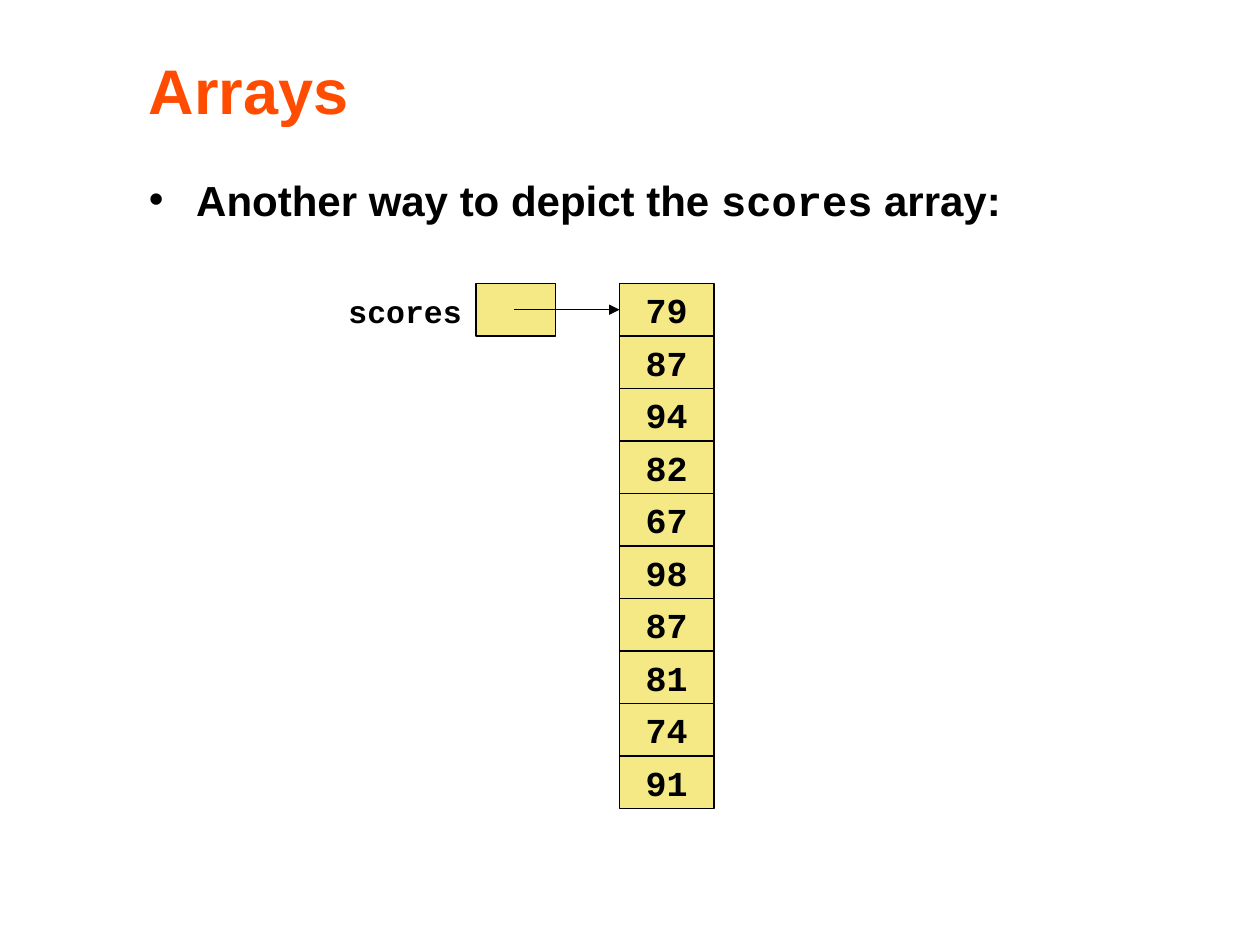
from lxml.etree import SubElement
from pptx import Presentation
from pptx.dml.color import RGBColor
from pptx.enum.shapes import MSO_CONNECTOR, MSO_SHAPE
from pptx.enum.text import MSO_ANCHOR, PP_ALIGN
from pptx.oxml.ns import qn
from pptx.util import Pt

SANS, MONO = "Arial", "Courier New"
BLACK, ORANGE, YELLOW = "000000", "FF4C00", "F5E985"

TITLE = "Arrays"
BULLET = [("Another way to depict the ", SANS), ("scores", MONO), (" array:", SANS)]
ARRAY_NAME = "scores"
SCORES = [79, 87, 94, 82, 67, 98, 87, 81, 74, 91]

TEXT_LEFT, TEXT_W, TEXT_H = 78, 624, 54
ARRAY_LEFT, ARRAY_TOP = 354, 162
CELL_W, CELL_H = 54, 30
REF_LEFT, REF_W = 272, 45.5
ARROW_LEFT = 294


def rgb(color):
    return RGBColor.from_string(color)


def add_runs(p, runs, size, color=BLACK):
    for text, font in runs:
        r = p.add_run()
        r.text = text
        r.font.name = font
        r.font.size = Pt(size)
        r.font.bold = True
        r.font.color.rgb = rgb(color)


def add_text(slide, x, y, w, h, wrap=True):
    tf = slide.shapes.add_textbox(Pt(x), Pt(y), Pt(w), Pt(h)).text_frame
    tf.word_wrap = wrap
    return tf


def add_bullet(p, indent):
    pPr = p._p.get_or_add_pPr()
    pPr.set("marL", str(Pt(indent)))
    pPr.set("indent", str(-Pt(indent)))
    SubElement(pPr, qn("a:buFont"), typeface=SANS)
    SubElement(pPr, qn("a:buChar"), char="•")


def add_box(slide, x, y, w):
    s = slide.shapes.add_shape(MSO_SHAPE.RECTANGLE, Pt(x), Pt(y), Pt(w), Pt(CELL_H))
    s.shadow.inherit = False
    s.fill.solid()
    s.fill.fore_color.rgb = rgb(YELLOW)
    s.line.color.rgb = rgb(BLACK)
    s.line.width = Pt(0.75)
    return s


def add_cell(slide, row, score):
    s = add_box(slide, ARRAY_LEFT, ARRAY_TOP + row * CELL_H, CELL_W)
    tf = s.text_frame
    tf.word_wrap = False
    tf.vertical_anchor = MSO_ANCHOR.MIDDLE
    p = tf.paragraphs[0]
    p.alignment = PP_ALIGN.CENTER
    add_runs(p, [(str(score), MONO)], 20)
    return s


def add_arrow(slide, x, y, target):
    """Draw an arrow from (x, y) to the left side of the target."""
    c = slide.shapes.add_connector(MSO_CONNECTOR.STRAIGHT, Pt(x), Pt(y), target.left, Pt(y))
    c.end_connect(target, 1)
    c.line.color.rgb = rgb(BLACK)
    c.line.width = Pt(0.75)
    SubElement(c.line._get_or_add_ln(), qn("a:tailEnd"), type="triangle")
    SubElement(c._element.spPr, qn("a:effectLst"))


def main():
    prs = Presentation()
    prs.slide_width, prs.slide_height = Pt(720), Pt(540)
    slide = prs.slides.add_slide(prs.slide_layouts[6])

    tf = add_text(slide, TEXT_LEFT, 24, TEXT_W, TEXT_H)
    tf.vertical_anchor = MSO_ANCHOR.MIDDLE
    add_runs(tf.paragraphs[0], [(TITLE, SANS)], 36, ORANGE)

    tf = add_text(slide, TEXT_LEFT, 96, TEXT_W, TEXT_H)
    add_bullet(tf.paragraphs[0], 27)
    add_runs(tf.paragraphs[0], BULLET, 24)

    add_box(slide, REF_LEFT, ARRAY_TOP, REF_W)
    tf = add_text(slide, 192, 163.5, 79, 29, wrap=False)
    add_runs(tf.paragraphs[0], [(ARRAY_NAME, MONO)], 18)

    cells = [add_cell(slide, row, score) for row, score in enumerate(SCORES)]
    add_arrow(slide, ARROW_LEFT, ARRAY_TOP + CELL_H / 2, cells[0])

    prs.save("out.pptx")


if __name__ == "__main__":
    main()
